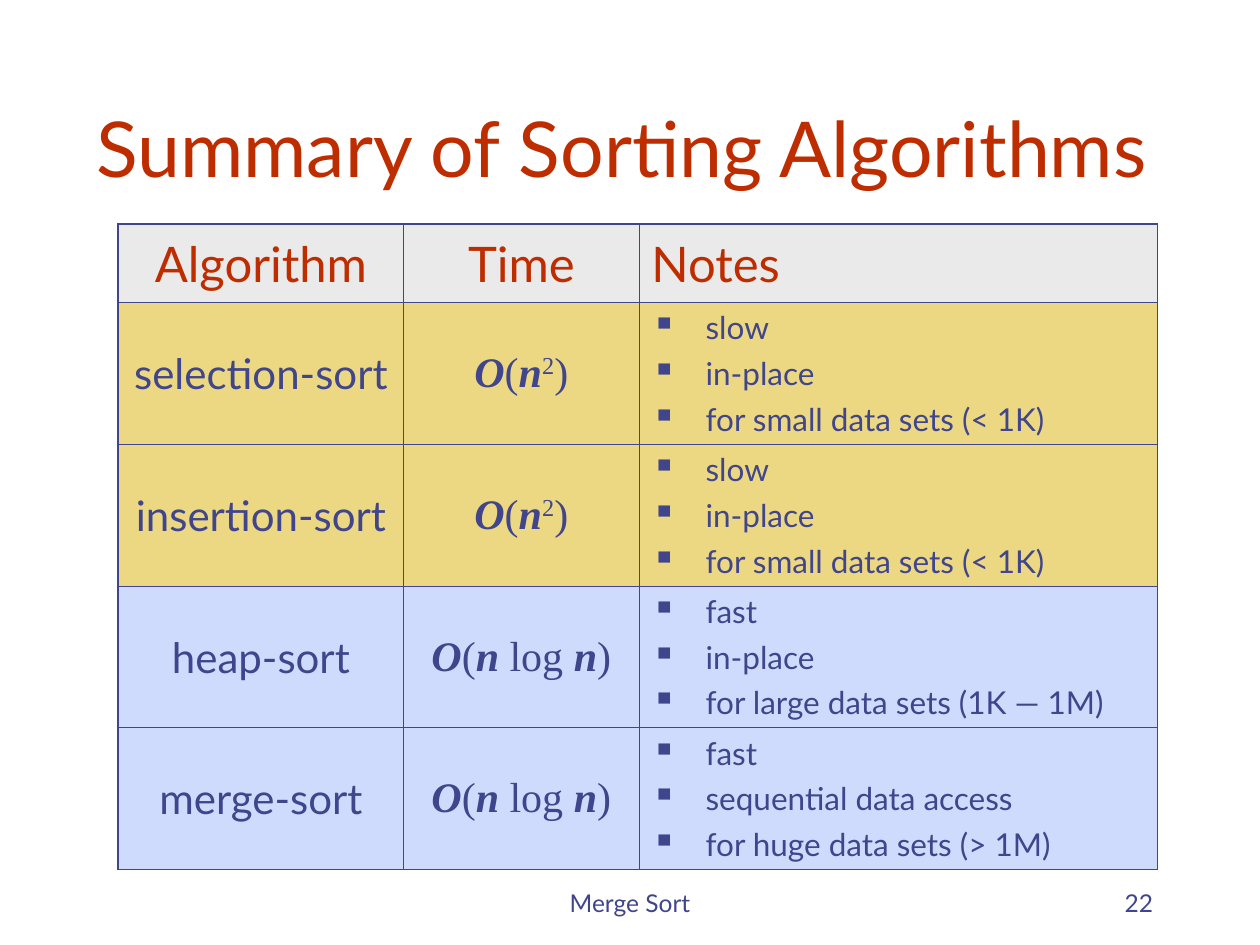
from dataclasses import dataclass

from lxml.etree import SubElement
from pptx import Presentation
from pptx.dml.color import RGBColor
from pptx.enum.text import MSO_ANCHOR, PP_ALIGN
from pptx.oxml import parse_xml
from pptx.oxml.ns import nsdecls, qn
from pptx.util import Inches, Pt


@dataclass(frozen=True)
class Theme:
    ink: str = "40458C"
    accent: str = "BE2D00"
    header: str = "EAEAEA"
    slow: str = "ECD882"
    fast: str = "CFDBFD"
    sans: str = "Lato"
    serif: str = "Times New Roman"
    title_size: int = 44
    header_size: int = 28
    body_size: int = 24
    note_size: int = 18
    footer_size: int = 14
    thick: float = 1.08
    thin: float = 0.45
    note_gap: float = 4.5
    note_indent: float = 0.43


class SlideBuilder:
    columns, rows = 120, 90

    def __init__(self, deck, theme):
        self.theme = theme
        self.slide = deck.slides.add_slide(deck.slide_layouts[6])
        self.column = deck.slide_width / self.columns
        self.row = deck.slide_height / self.rows

    def frame(self, left, top, width, height):
        return (round(left * self.column), round(top * self.row),
                round(width * self.column), round(height * self.row))

    def styled_run(self, paragraph, words, size, color, **formats):
        run = paragraph.add_run()
        run.text = words
        run.font.color.rgb = RGBColor.from_string(color)
        for name, value in {"name": self.theme.sans, "size": Pt(size), **formats}.items():
            setattr(run.font, name, value)
        return run

    def text(self, place, words, size, color, align):
        frame = self.slide.shapes.add_textbox(*self.frame(*place)).text_frame
        for name, value in {"word_wrap": True, "vertical_anchor": MSO_ANCHOR.BOTTOM}.items():
            setattr(frame, name, value)
        self.label(frame, words, size, color, align)

    def table(self, left, top, widths, heights):
        place = self.frame(left, top, sum(widths), sum(heights))
        table = self.slide.shapes.add_table(len(heights), len(widths), *place).table
        for name in ("first_row", "horz_banding"):
            setattr(table, name, False)
        for column, width in zip(table.columns, widths):
            column.width = round(width * self.column)
        for row, height in zip(table.rows, heights):
            row.height = round(height * self.row)
        return table

    def cell(self, table, row, column, fill):
        cell = table.cell(row, column)
        cell.vertical_anchor = MSO_ANCHOR.MIDDLE
        cell.margin_left = cell.margin_right = Inches(0.1)
        cell.margin_top = cell.margin_bottom = Inches(0.05)
        cell.fill.solid()
        cell.fill.fore_color.rgb = RGBColor.from_string(fill)
        last_row, last_column = len(table.rows) - 1, len(table.columns) - 1
        heavy_sides = {"L": column == 0, "R": column == last_column,
                       "T": row <= 1, "B": row in (0, last_row)}
        properties = cell._tc.get_or_add_tcPr()
        for index, (side, heavy) in enumerate(heavy_sides.items()):
            width = Pt(self.theme.thick if heavy else self.theme.thin)
            properties.insert(index, parse_xml(
                f'<a:ln{side} {nsdecls("a")} w="{width}"><a:solidFill>'
                f'<a:srgbClr val="{self.theme.ink}"/></a:solidFill></a:ln{side}>'))
        return cell.text_frame

    def label(self, frame, words, size, color, align=PP_ALIGN.CENTER):
        paragraph = frame.paragraphs[0]
        paragraph.alignment = align
        self.styled_run(paragraph, words, size, color)

    def formula(self, frame, parts):
        paragraph = frame.paragraphs[0]
        paragraph.alignment = PP_ALIGN.CENTER
        for part in parts:
            variable = part in ("O", "n")
            run = self.styled_run(paragraph, part, self.theme.body_size, self.theme.ink,
                                  name=self.theme.serif, bold=variable, italic=variable)
            if part.isdigit():
                run._r.get_or_add_rPr().set("baseline", "30000")

    def notes(self, frame, lines):
        indent = Inches(self.theme.note_indent)
        for index, line in enumerate(lines):
            paragraph = frame.add_paragraph() if index else frame.paragraphs[0]
            properties = paragraph._p.get_or_add_pPr()
            for name, value in {"marL": indent, "indent": -indent}.items():
                properties.set(name, str(value))
            bullet_color = SubElement(properties, qn("a:buClr"))
            SubElement(bullet_color, qn("a:srgbClr"), val=self.theme.ink)
            SubElement(properties, qn("a:buSzPct"), val="110000")
            SubElement(properties, qn("a:buChar"), char="▪")
            if index:
                paragraph.space_before = Pt(self.theme.note_gap)
            self.styled_run(paragraph, line, self.theme.note_size, self.theme.ink)


def main():
    deck = Presentation()
    deck.slide_width, deck.slide_height = Inches(10), Inches(7.5)
    theme = Theme()
    builder = SlideBuilder(deck, theme)

    builder.text((41, 82, 38, 6), "Merge Sort", theme.footer_size, theme.ink, PP_ALIGN.CENTER)
    builder.text((86, 82, 25, 6), "22", theme.footer_size, theme.ink, PP_ALIGN.RIGHT)
    builder.text((8, 4, 106, 15), "Summary of Sorting Algorithms",
                 theme.title_size, theme.accent, PP_ALIGN.LEFT)

    quadratic = ("O", "(", "n", "2", ")")
    linearithmic = ("O", "(", "n", " log ", "n", ")")
    small_data = ("slow", "in-place", "for small data sets (< 1K)")
    large_data = ("fast", "in-place", "for large data sets (1K — 1M)")
    huge_data = ("fast", "sequential data access", "for huge data sets (> 1M)")
    headings = (("Algorithm", PP_ALIGN.CENTER), ("Time", PP_ALIGN.CENTER),
                ("Notes", PP_ALIGN.LEFT))
    algorithms = (
        ("selection-sort", quadratic, small_data, theme.slow),
        ("insertion-sort", quadratic, small_data, theme.slow),
        ("heap-sort", linearithmic, large_data, theme.fast),
        ("merge-sort", linearithmic, huge_data, theme.fast),
    )

    summary = builder.table(11.25, 21.35, (27.2, 22.4, 49.4),
                            (7.45, *[13.5] * len(algorithms)))
    for column, (heading, align) in enumerate(headings):
        builder.label(builder.cell(summary, 0, column, theme.header),
                      heading, theme.header_size, theme.accent, align)
    for row, (algorithm, time, notes, fill) in enumerate(algorithms, 1):
        builder.label(builder.cell(summary, row, 0, fill), algorithm, theme.body_size, theme.ink)
        builder.formula(builder.cell(summary, row, 1, fill), time)
        builder.notes(builder.cell(summary, row, 2, fill), notes)

    deck.save("out.pptx")


if __name__ == "__main__":
    main()
